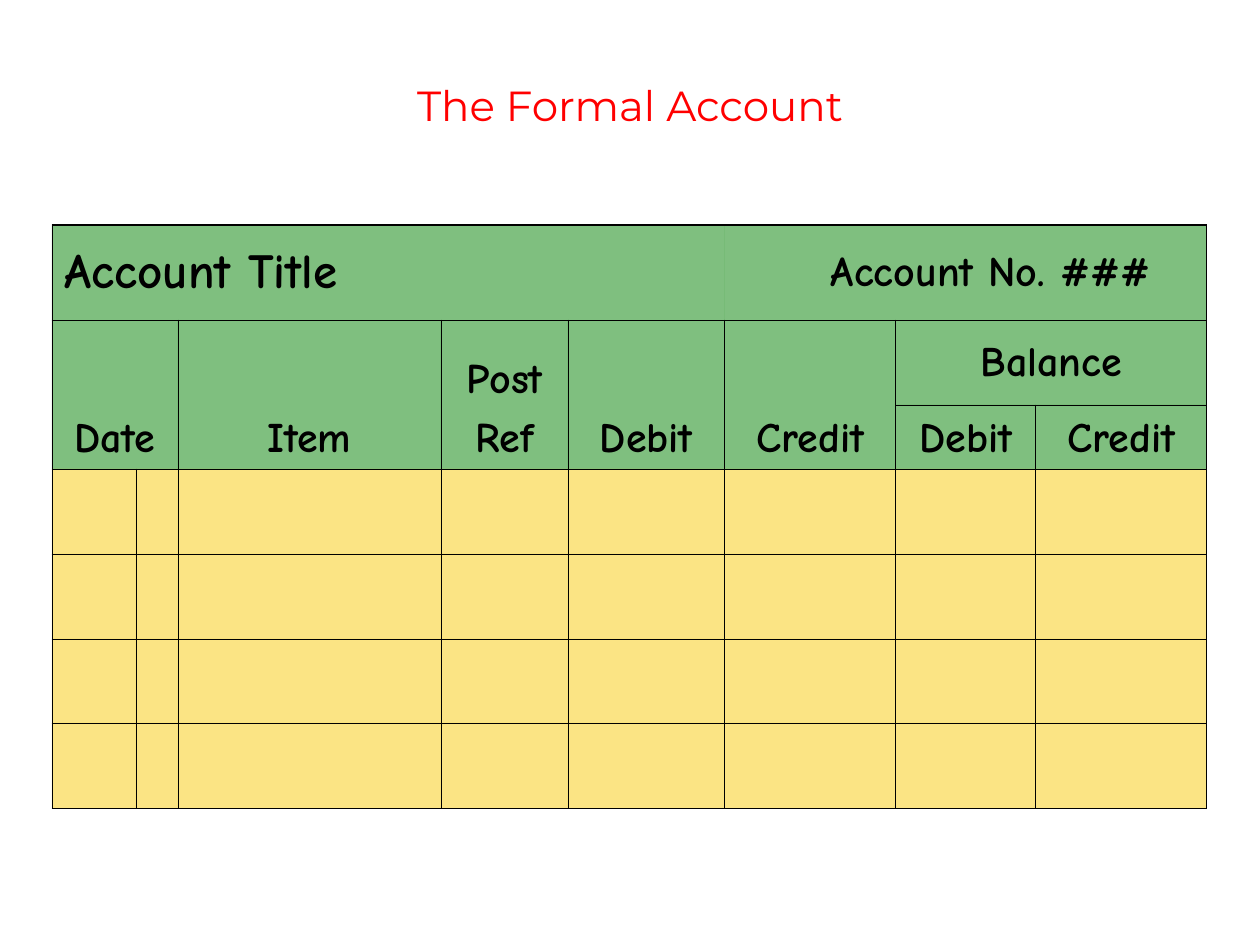
from dataclasses import dataclass

import pptx
import pptx.dml.color
import pptx.enum.text
import pptx.oxml
import pptx.oxml.ns
import pptx.util

PX = 914400 // 126
ALIGN = pptx.enum.text.PP_ALIGN
ANCHOR = pptx.enum.text.MSO_ANCHOR


@dataclass(frozen=True)
class Theme:
    title_font: str = "Montserrat"
    table_font: str = "Comic Neue"
    title_color: str = "FF0000"
    ink: str = "000000"
    header_fill: str = "008000"
    entry_fill: str = "F8CB0A"
    fill_opacity: int = 50
    account_size: int = 28
    text_size: int = 24
    top_line: float = 1.08
    grid_line: float = 0.45


THEME = Theme()
COLUMNS = [84, 42, 263, 127, 157, 171, 140, 171]
ROWS = [95, 85, 64, 85, 85, 84, 85]
HEADER_ROWS = 3

# row, column, row span, column span, text, alignment, anchor
HEADERS = [
    (0, 0, 1, 5, "Account Title", ALIGN.LEFT, ANCHOR.MIDDLE),
    (0, 5, 1, 3, "Account No. ###", ALIGN.RIGHT, ANCHOR.MIDDLE),
    (1, 0, 2, 2, "Date", ALIGN.CENTER, ANCHOR.BOTTOM),
    (1, 2, 2, 1, "Item", ALIGN.CENTER, ANCHOR.BOTTOM),
    (1, 3, 2, 1, "Post\nRef", ALIGN.CENTER, ANCHOR.BOTTOM),
    (1, 4, 2, 1, "Debit", ALIGN.CENTER, ANCHOR.BOTTOM),
    (1, 5, 2, 1, "Credit", ALIGN.CENTER, ANCHOR.BOTTOM),
    (1, 6, 1, 2, "Balance", ALIGN.CENTER, ANCHOR.MIDDLE),
    (2, 6, 1, 1, "Debit", ALIGN.CENTER, ANCHOR.BOTTOM),
    (2, 7, 1, 1, "Credit", ALIGN.CENTER, ANCHOR.BOTTOM),
]


def format_paragraph(paragraph, font, size, color, bold=False):
    for run in paragraph.runs:
        run.font.name = font
        run.font.size = pptx.util.Pt(size)
        run.font.bold = bold
        run.font.color.rgb = pptx.dml.color.RGBColor.from_string(color)


def add_title(slide, left, top, width, height):
    title = slide.shapes.title
    title.left, title.top = left * PX, top * PX
    title.width, title.height = width * PX, height * PX
    frame = title.text_frame
    frame.text = "The Formal Account"
    frame.word_wrap = False
    frame.vertical_anchor = ANCHOR.TOP
    frame.paragraphs[0].alignment = ALIGN.CENTER
    format_paragraph(frame.paragraphs[0], THEME.title_font, THEME.text_size, THEME.title_color)


def add_border(cell, side, width):
    """Draw one side (L, R, T or B) of a cell; a width of 0 hides it."""
    fill = f'<a:solidFill><a:srgbClr val="{THEME.ink}"/></a:solidFill>' if width else "<a:noFill/>"
    cell._tc.get_or_add_tcPr().append(pptx.oxml.parse_xml(
        f'<a:ln{side} {pptx.oxml.ns.nsdecls("a")} w="{pptx.util.Pt(width)}">{fill}</a:ln{side}>'))


def add_borders(cell, row, column):
    """Rule every side, except between the two halves of the account heading."""
    heading = row == 0
    add_border(cell, "L", 0 if heading and column > 0 else THEME.grid_line)
    add_border(cell, "R", 0 if heading and column < 5 else THEME.grid_line)
    add_border(cell, "T", THEME.top_line if heading else THEME.grid_line)
    add_border(cell, "B", THEME.grid_line)


def fill_cell(cell, color):
    cell.fill.solid()
    cell.fill.fore_color.rgb = pptx.dml.color.RGBColor.from_string(color)
    fill = cell._tc.tcPr.find(pptx.oxml.ns.qn("a:solidFill"))
    fill[0].append(pptx.oxml.parse_xml(
        f'<a:alpha {pptx.oxml.ns.nsdecls("a")} val="{THEME.fill_opacity * 1000}"/>'))


def write_header(cell, text, alignment, anchor, size):
    cell.text_frame.text = text
    cell.vertical_anchor = anchor
    for index, paragraph in enumerate(cell.text_frame.paragraphs):
        paragraph.alignment = alignment
        if index:
            paragraph.space_before = pptx.util.Pt(6)
        format_paragraph(paragraph, THEME.table_font, size, THEME.ink, bold=True)
    if alignment == ALIGN.RIGHT:
        cell.margin_right = 57 * PX


def add_account_table(slide, left, top):
    table = slide.shapes.add_table(
        len(ROWS), len(COLUMNS), left * PX, top * PX, sum(COLUMNS) * PX, sum(ROWS) * PX).table
    table.first_row = table.horz_banding = False
    for column, width in zip(table.columns, COLUMNS):
        column.width = width * PX
    for row, height in zip(table.rows, ROWS):
        row.height = height * PX

    for row, column, row_span, column_span, text, alignment, anchor in HEADERS:
        cell = table.cell(row, column)
        if row_span * column_span > 1:
            cell.merge(table.cell(row + row_span - 1, column + column_span - 1))
        size = THEME.account_size if (row, column) == (0, 0) else THEME.text_size
        write_header(cell, text, alignment, anchor, size)

    for row in range(len(ROWS)):
        for column in range(len(COLUMNS)):
            cell = table.cell(row, column)
            add_borders(cell, row, column)
            fill_cell(cell, THEME.header_fill if row < HEADER_ROWS else THEME.entry_fill)


def main():
    presentation = pptx.Presentation()
    presentation.slide_width = 1260 * PX
    presentation.slide_height = 945 * PX
    slide = presentation.slides.add_slide(presentation.slide_layouts[5])
    add_title(slide, 282, 73, 696, 90)
    add_account_table(slide, 52, 225)
    presentation.save("out.pptx")


if __name__ == "__main__":
    main()
